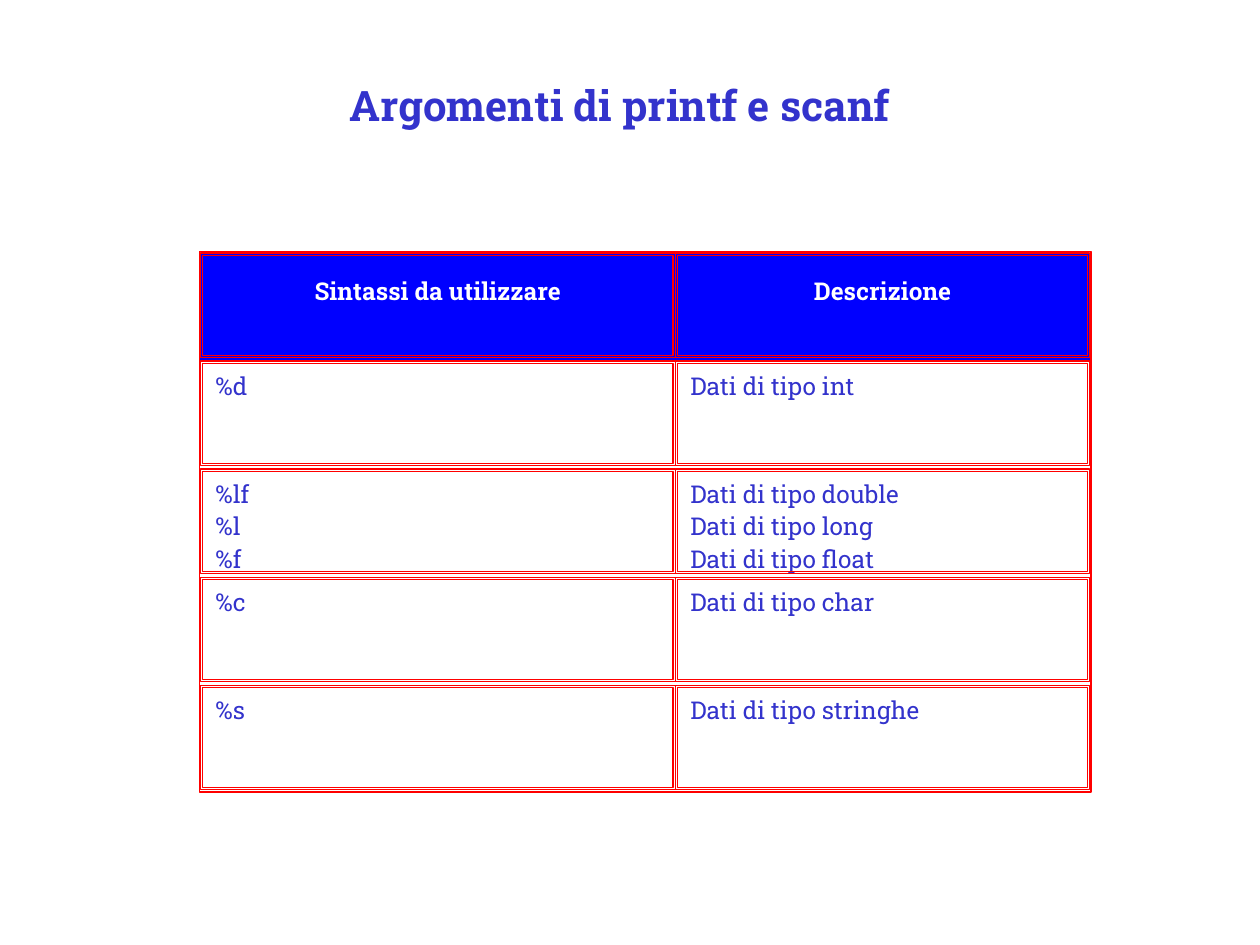
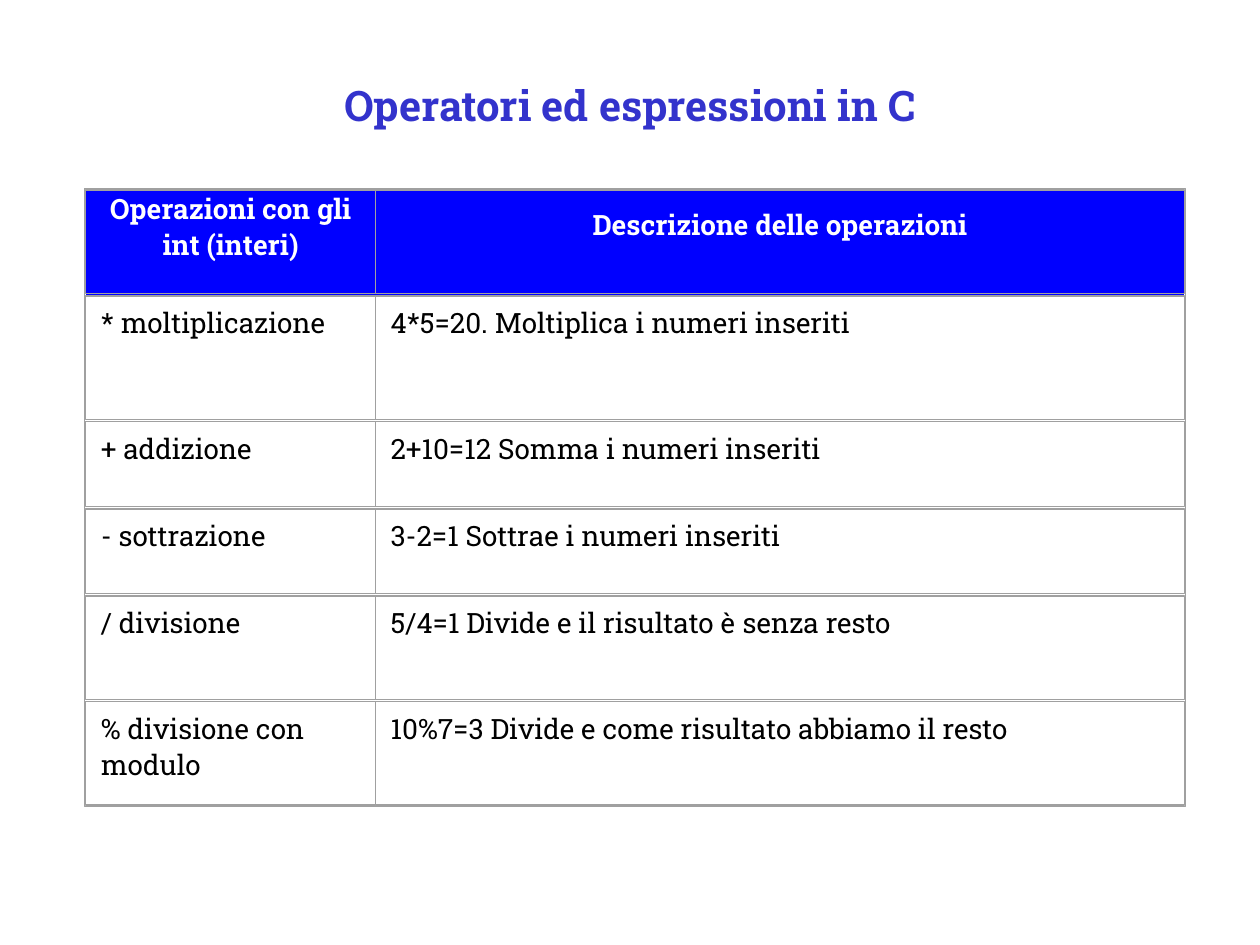
"""Build two slides on printf/scanf arguments and C operators."""
from itertools import accumulate

from lxml import etree
from pptx import Presentation
from pptx.dml.color import RGBColor
from pptx.enum.shapes import MSO_SHAPE
from pptx.enum.text import MSO_ANCHOR, PP_ALIGN
from pptx.oxml.ns import qn
from pptx.util import Pt

RECT = MSO_SHAPE.RECTANGLE
TOP, MIDDLE = MSO_ANCHOR.TOP, MSO_ANCHOR.MIDDLE
LEFT, CENTER = PP_ALIGN.LEFT, PP_ALIGN.CENTER

THEME = {
    "font": "Roboto Slab",
    "title": 24,
    "ink": RGBColor(0x33, 0x33, 0xCC),
    "head": RGBColor(0x00, 0x00, 0xFF),
    "white": RGBColor(0xFF, 0xFF, 0xFF),
    "black": RGBColor(0x00, 0x00, 0x00),
    "red": RGBColor(0xFF, 0x00, 0x00),
    "gray": RGBColor(0xA0, 0xA0, 0xA0),
}

SLIDES = [
    {
        "title": "Argomenti di printf e scanf",
        "left": 48.25,
        "origin": (114.5, 144.6),
        "cols": [271.4, 236.9],
        "rows": [61.75] * 5,
        "gap": 2, "inset": 1.3, "size": 14, "line": "red", "text": "ink",
        "cells": [
            ("Sintassi da utilizzare", "Descrizione"),
            ("%d", "Dati di tipo int"),
            ("%lf\n%l\n%f",
             "Dati di tipo double\nDati di tipo long\nDati di tipo float"),
            ("%c", "Dati di tipo char"),
            ("%s", "Dati di tipo stringhe"),
        ],
    },
    {
        "title": "Operatori ed espressioni in C",
        "left": 54,
        "origin": (49, 108.6),
        "cols": [165.6, 462.2],
        "rows": [60.5, 72, 49.7, 49.7, 60.5, 60.5],
        "gap": 1.4, "inset": 0, "size": 16, "line": "gray", "text": "black",
        "cells": [
            ("Operazioni con gli int (interi)", "Descrizione delle operazioni"),
            ("* moltiplicazione", "4*5=20. Moltiplica i numeri inseriti"),
            ("+ addizione", "2+10=12 Somma i numeri inseriti"),
            ("- sottrazione", "3-2=1 Sottrae i numeri inseriti"),
            ("/ divisione", "5/4=1 Divide e il risultato è senza resto"),
            ("% divisione con modulo",
             "10%7=3 Divide e come risultato abbiamo il resto"),
        ],
    },
]


def write(frame, text, size, color, bold, align):
    frame.text = text
    for para in frame.paragraphs:
        para.alignment = align
        form = {"name": THEME["font"], "size": Pt(size), "bold": bold}
        for run in para.runs:
            for key, val in form.items():
                setattr(run.font, key, val)
            run.font.color.rgb = THEME[color]


def outline(slide, box, color, width):
    shape = slide.shapes.add_shape(RECT, *map(Pt, box))
    shape.shadow.inherit = False
    shape.fill.background()
    shape.line.color.rgb = THEME[color]
    shape.line.width = Pt(width)


deck = Presentation()
deck.slide_width, deck.slide_height = Pt(720), Pt(540)

for data in SLIDES:
    slide = deck.slides.add_slide(deck.slide_layouts[6])
    title = slide.shapes.add_textbox(Pt(data["left"]), Pt(30), Pt(612), Pt(60))
    title.text_frame.word_wrap = True
    title.text_frame.vertical_anchor = MIDDLE
    write(title.text_frame, data["title"], THEME["title"], "ink", True, CENTER)

    x, y = data["origin"]
    cols, rows, size = data["cols"], data["rows"], data["size"]
    wide, high = sum(cols), sum(rows)
    table = slide.shapes.add_table(
        len(rows), len(cols), Pt(x), Pt(y), Pt(wide), Pt(high)).table
    table.horz_banding = False
    for col, width in zip(table.columns, cols):
        col.width = Pt(width)
    for row, height in zip(table.rows, rows):
        row.height = Pt(height)

    lefts = list(accumulate(cols, initial=x))
    tops = list(accumulate(rows, initial=y))
    for r, texts in enumerate(data["cells"]):
        head = r == 0
        for c, text in enumerate(texts):
            cell = table.cell(r, c)
            form = {
                "margin_left": Pt(8.6),
                "margin_right": Pt(8.6),
                "margin_top": Pt(0 if head else 4.8),
                "margin_bottom": Pt(size * 1.3 if head else 0),
                "vertical_anchor": MIDDLE if head else TOP,
            }
            for key, val in form.items():
                setattr(cell, key, val)
            props = cell._tc.get_or_add_tcPr()
            for side in ("a:lnL", "a:lnR", "a:lnT", "a:lnB"):
                edge = etree.SubElement(props, qn(side))
                etree.SubElement(edge, qn("a:noFill"))
            if head:
                cell.fill.solid()
                cell.fill.fore_color.rgb = THEME["head"]
            else:
                cell.fill.background()
            write(cell.text_frame, text, size,
                  "white" if head else data["text"], head,
                  CENTER if head else LEFT)

            box = lefts[c], tops[r], cols[c], rows[r] - data["gap"]
            outline(slide, box, data["line"], 0)
            pad = data["inset"]
            if pad:
                inner = (box[0] + pad, box[1] + pad,
                         box[2] - 2 * pad, box[3] - 2 * pad)
                outline(slide, inner, data["line"], 0.75)
    outline(slide, (x - 0.7, y - 0.7, wide + 1.4, high), data["line"], 0.75)

deck.save("out.pptx")
